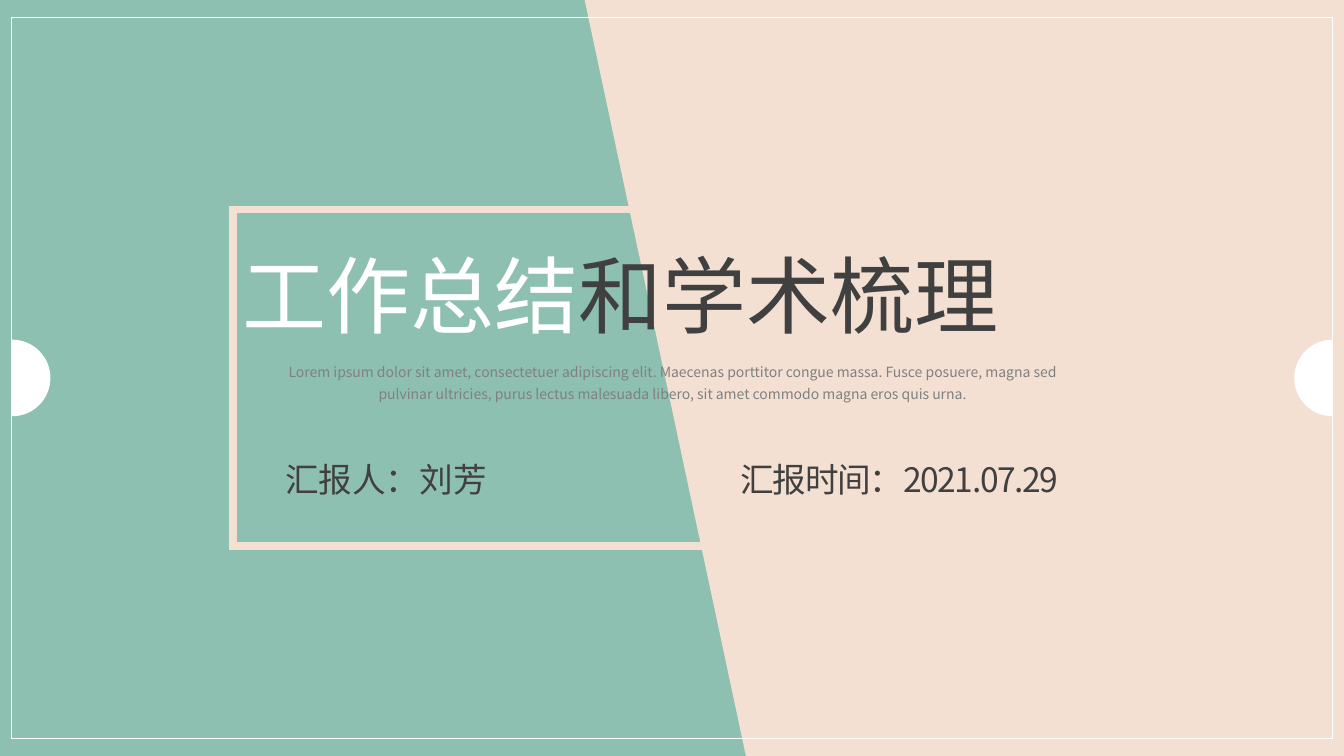
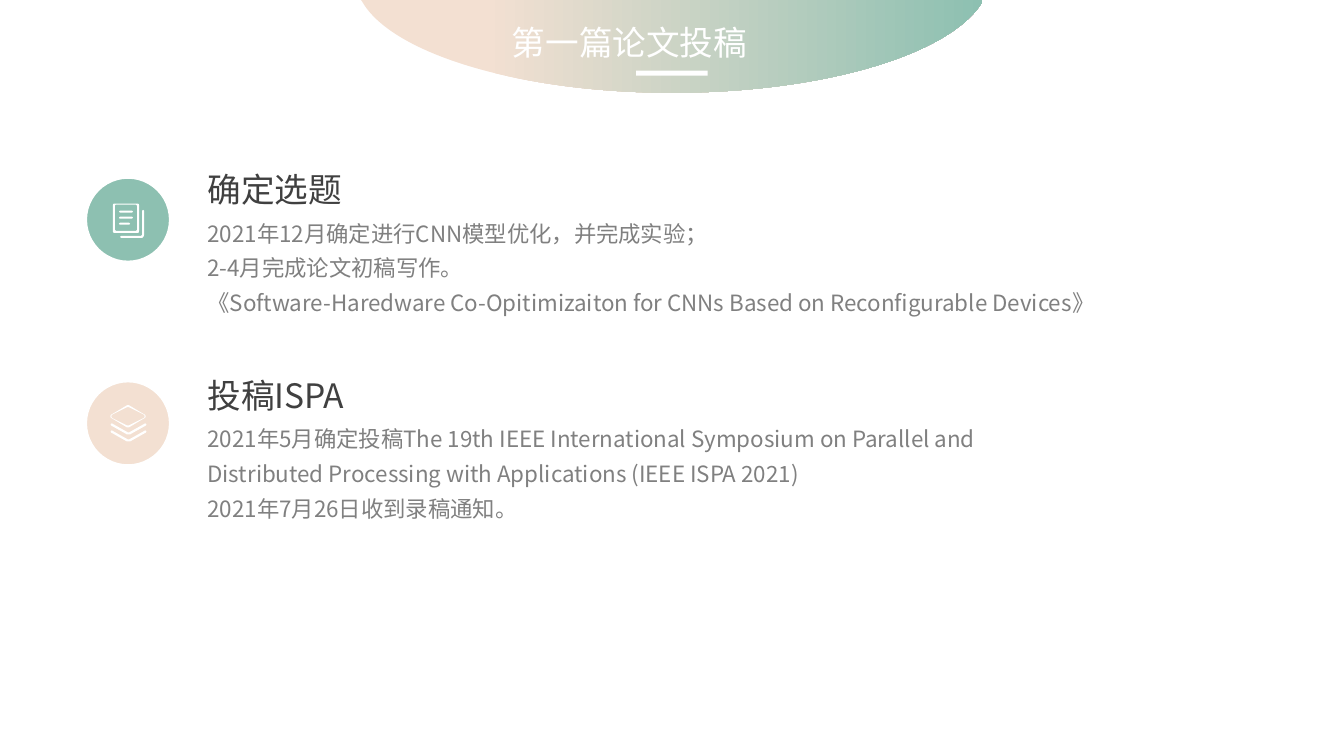
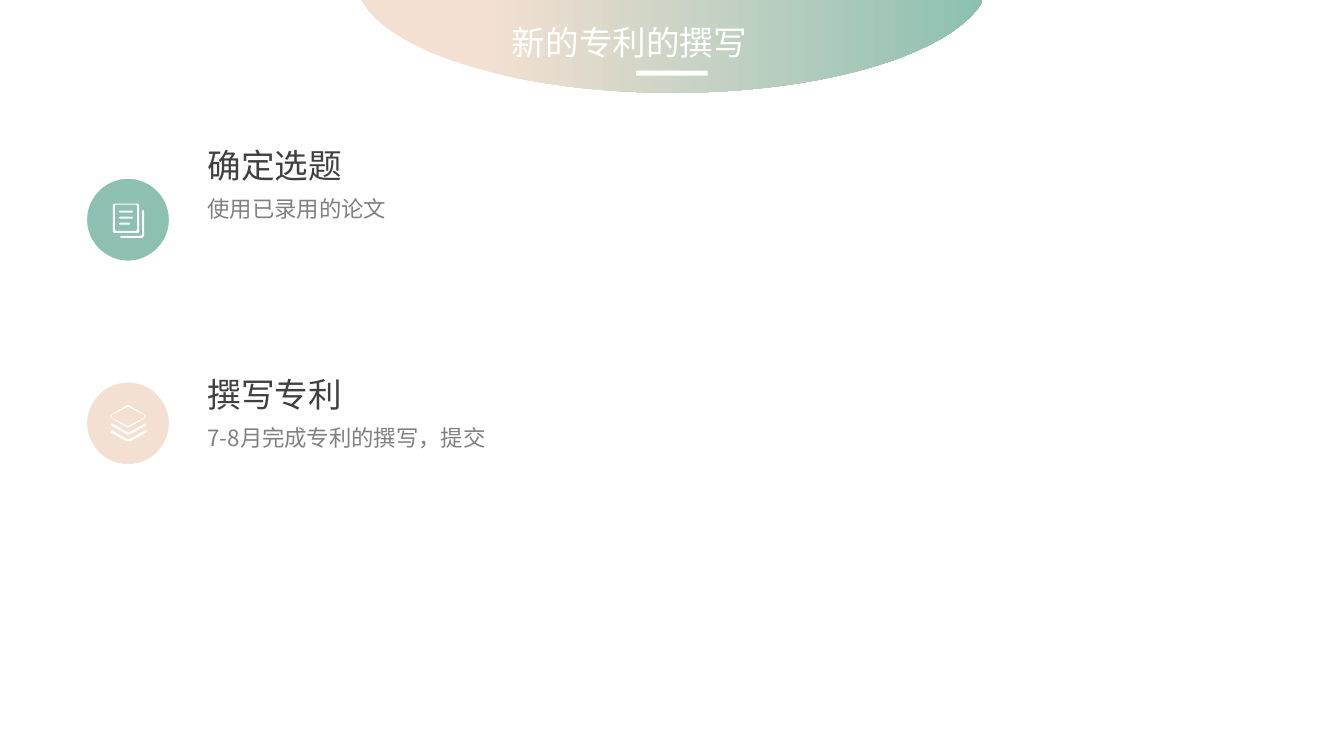
from pptx import Presentation
from pptx.dml.color import RGBColor
from pptx.enum.shapes import MSO_SHAPE
from pptx.enum.text import MSO_AUTO_SIZE, PP_ALIGN
from pptx.oxml.ns import qn
from pptx.util import Inches, Pt
from lxml import etree

RECT, OVAL = MSO_SHAPE.RECTANGLE, MSO_SHAPE.OVAL
LEFT, MID, JUST = PP_ALIGN.LEFT, PP_ALIGN.CENTER, PP_ALIGN.JUSTIFY
GROW = MSO_AUTO_SIZE.SHAPE_TO_FIT_TEXT

# Shared look
FONT = "Noto Sans CJK SC"
GREEN, CREAM, PEACH, WHITE = "8DC0B1", "F3E0D2", "FFC6A5", "FFFFFF"
DARK, GREY = "404040", "808080"
WIDE, HIGH = 40 / 3, 7.5
HEAD = {"size": Pt(24)}
BODY = {"size": Pt(16)}


def rgb(code):
    return RGBColor.from_string(code)


# Basic elements
def paint(shape, fill=None, line=None, width=1):
    shape.shadow.inherit = False
    if fill:
        shape.fill.solid()
        shape.fill.fore_color.rgb = rgb(fill)
    else:
        shape.fill.background()
    if line:
        shape.line.color.rgb = rgb(line)
        shape.line.width = Pt(width)
        etree.SubElement(shape.line._get_or_add_ln(), qn("a:miter"))
    else:
        shape.line.fill.background()
    return shape


def box(slide, kind, at, **look):
    return paint(slide.shapes.add_shape(kind, *map(Inches, at)), **look)


def outline(host, *loops, fill):
    """Each loop lists steps: (x, y) is a corner, six numbers are a curve."""
    steps = [step for loop in loops for step in loop]
    pen = None
    for loop in loops:
        ends = [tuple(map(Inches, step[-2:])) for step in loop]
        if pen:
            pen.move_to(*ends[0])
        else:
            pen = host.shapes.build_freeform(*ends[0])
        pen.add_line_segments(ends[1:], True)
    shape = paint(pen.convert_to_shape(), fill=fill)
    # Turn the marked straight segments into curves
    tags = (qn("a:moveTo"), qn("a:lnTo"))
    nodes = [node for node in shape._element.iter() if node.tag in tags]
    loop_ends = iter(nodes)
    for step in steps:
        node = next(loop_ends)
        if len(step) == 6:
            node.tag = qn("a:cubicBezTo")
            for n in (0, 2):
                spot = etree.Element(qn("a:pt"))
                spot.set("x", str(Inches(step[n]) - shape.left))
                spot.set("y", str(Inches(step[n + 1]) - shape.top))
                node.insert(n // 2, spot)
    return shape


def pill(left, top, right, low, r):
    """Loop of a rectangle with round corners."""
    return [(right - r, top),
            (left + r, top), (left, top, left, top, left, top + r),
            (left, low - r), (left, low, left, low, left + r, low),
            (right - r, low), (right, low, right, low, right, low - r),
            (right, top + r), (right, top, right, top, right - r, top)]


def text(slide, at, paras, style, align=LEFT, space=None, track=None):
    """Each paragraph is a list of (words, colour) runs."""
    frame = slide.shapes.add_textbox(*map(Inches, at)).text_frame
    frame.word_wrap = True
    frame.auto_size = GROW
    for n, runs in enumerate(paras):
        para = frame.add_paragraph() if n else frame.paragraphs[0]
        para.alignment = align
        if space:
            para.line_spacing = space
        for words, color in runs:
            run = para.add_run()
            run.text = words
            run.font.color.rgb = rgb(color)
            for key, value in {"name": FONT, **style}.items():
                setattr(run.font, key, value)
            props = run._r.get_or_add_rPr()
            etree.SubElement(props, qn("a:ea")).set("typeface", FONT)
            if track:
                props.set("spc", str(track * 100))


# Icons
def sheet(group):
    outline(group, pill(1.12, 2.02, 1.38, 2.31, 0.02),
            pill(1.14, 2.03, 1.36, 2.29, 0.01), fill=WHITE)
    back = [(1.41, 2.09), (1.41, 2.33), (1.41, 2.33, 1.41, 2.34, 1.4, 2.34),
            (1.2, 2.34), (1.19, 2.34, 1.19, 2.36, 1.2, 2.36),
            (1.41, 2.36), (1.42, 2.36, 1.43, 2.34, 1.43, 2.33),
            (1.43, 2.09), (1.43, 2.08, 1.41, 2.08, 1.41, 2.09)]
    rows = [pill(1.18, 2.09 + n * 0.06, end, 2.11 + n * 0.06, 0.01)
            for n, end in enumerate((1.32, 1.32, 1.29))]
    outline(group, back, *rows, fill=WHITE)


def tile(x, y, side, rise):
    """Loop of a flat diamond with soft corners, centred on x, y."""
    a, b, tip = side - 0.02, 0.02, rise
    return [(x, y + tip), (x, y + tip, x - 0.01, y + tip, x - 0.01, y + tip),
            (x - a, y + b), (x - side, y + b, x - side, y - b, x - a, y - b),
            (x - 0.01, y - tip),
            (x, y - tip, x, y - tip, x + 0.01, y - tip),
            (x + a, y - b), (x + side, y - b, x + side, y + b, x + a, y + b),
            (x + 0.01, y + tip)]


def stack(group):
    outline(group, tile(1.27, 4.13, 0.18, 0.11),
            tile(1.27, 4.13, 0.17, 0.09), fill=WHITE)
    for top in (4.2, 4.27):
        tip, low = top + 0.09, top + 0.11
        outline(group, [(1.27, low), (1.27, low, 1.26, low, 1.26, low),
                        (1.1, top + 0.02),
                        (1.09, top + 0.01, 1.1, top, 1.11, top),
                        (1.27, tip), (1.27, tip, 1.28, tip, 1.28, tip),
                        (1.44, top),
                        (1.45, top, 1.46, top + 0.01, 1.45, top + 0.02),
                        (1.29, low)], fill=WHITE)


# Parts of the inner slides
def banner(slide, title):
    dome = outline(slide, [(3.58, 0), (9.75, 0), (9.75, 0.01),
                           (9.45, 0.53, 8.19, 0.92, 6.67, 0.92),
                           (5.15, 0.92, 3.88, 0.53, 3.59, 0.01)], fill=CREAM)
    dome.fill.gradient()
    dome.fill.gradient_angle = 0
    stops = ((0.2, CREAM), (1, GREEN))
    for stop, (place, color) in zip(dome.fill.gradient_stops, stops):
        stop.position = place
        stop.color.rgb = rgb(color)
    text(slide, (4.98, 0.17, 3.34, 0.5), [[(title, WHITE)]], HEAD, JUST)
    box(slide, RECT, (6.31, 0.7, 0.71, 0.05), fill=WHITE)


def item(slide, disc, color, icon, top, head, lines, wide=8.61, rows=1):
    box(slide, OVAL, (0.85, disc, 0.84, 0.84), fill=color, line=WHITE, width=2)
    icon(slide.shapes.add_group_shape())
    text(slide, (1.96, top, 2.91, 0.5), [[(head, DARK)]], HEAD)
    text(slide, (1.96, top + 0.42, wide, 0.1 + 0.35 * rows),
         [[(line, GREY)] for line in lines], BODY, space=1.3)


# Slides
def cover(slide):
    slide.background.fill.solid()
    slide.background.fill.fore_color.rgb = rgb(PEACH)
    outline(slide, [(0, 0), (6.45, 0), (8.27, HIGH), (0, HIGH)], fill=GREEN)
    outline(slide, [(5.8, 0), (WIDE, 0), (WIDE, HIGH), (7.4, HIGH)], fill=CREAM)
    box(slide, RECT, (2.31, 2.08, 8.71, 3.34), line=CREAM, width=5.5)
    text(slide, (2.31, 2.37, 8.71, 1.11),
         [[("工作总结", WHITE), ("和学术梳理", DARK)]], {"size": Pt(60)}, JUST)
    text(slide, (2.74, 3.51, 7.86, 0.52),
         [[("Lorem ipsum dolor sit amet, consectetuer adipiscing elit. "
            "Maecenas porttitor congue massa. Fusce posuere, magna sed "
            "pulvinar ultricies, purus lectus malesuada libero, sit amet "
            "commodo magna eros quis urna.", GREY)]],
         {"size": Pt(10)}, MID, 1.3)
    for x, words, track in ((2.73, "汇报人：刘芳", None),
                            (7.25, "汇报时间：2021.07.29", -1)):
        text(slide, (x, 4.5, 3.47, 0.5), [[(words, DARK)]], HEAD, JUST,
             track=track)
    # Thin border with a half disc on each side
    box(slide, RECT, (0.11, 0.17, 13.11, 7.16), line=WHITE, width=0.5)
    for x, way in ((0.12, 1), (13.22, -1)):
        near, far = x + way * 0.21, x + way * 0.38
        outline(slide, [(x, 3.37), (near, 3.37, far, 3.54, far, 3.75),
                        (far, 3.96, near, 4.13, x, 4.13)], fill=WHITE)


def paper(slide):
    item(slide, 1.76, GREEN, sheet, 1.63, "确定选题",
         ["2021年12月确定进行CNN模型优化，并完成实验；",
          "2-4月完成论文初稿写作。",
          "《Software-Haredware Co-Opitimizaiton for CNNs Based on "
          "Reconfigurable Devices》"], 10.17, 3)
    item(slide, 3.78, CREAM, stack, 3.67, "投稿ISPA",
         ["2021年5月确定投稿The 19th IEEE International Symposium on Parallel "
          "and Distributed Processing with Applications (IEEE ISPA 2021)",
          "2021年7月26日收到录稿通知。"], rows=3)
    banner(slide, "第一篇论文投稿")


def patent(slide):
    item(slide, 1.76, GREEN, sheet, 1.39, "确定选题", ["使用已录用的论文"])
    item(slide, 3.78, CREAM, stack, 3.66, "撰写专利",
         ["7-8月完成专利的撰写，提交"])
    banner(slide, "新的专利的撰写")


def main():
    deck = Presentation()
    deck.slide_width, deck.slide_height = Inches(WIDE), Inches(HIGH)
    for build in (cover, paper, patent):
        build(deck.slides.add_slide(deck.slide_layouts[6]))
    deck.save("out.pptx")


if __name__ == "__main__":
    main()
